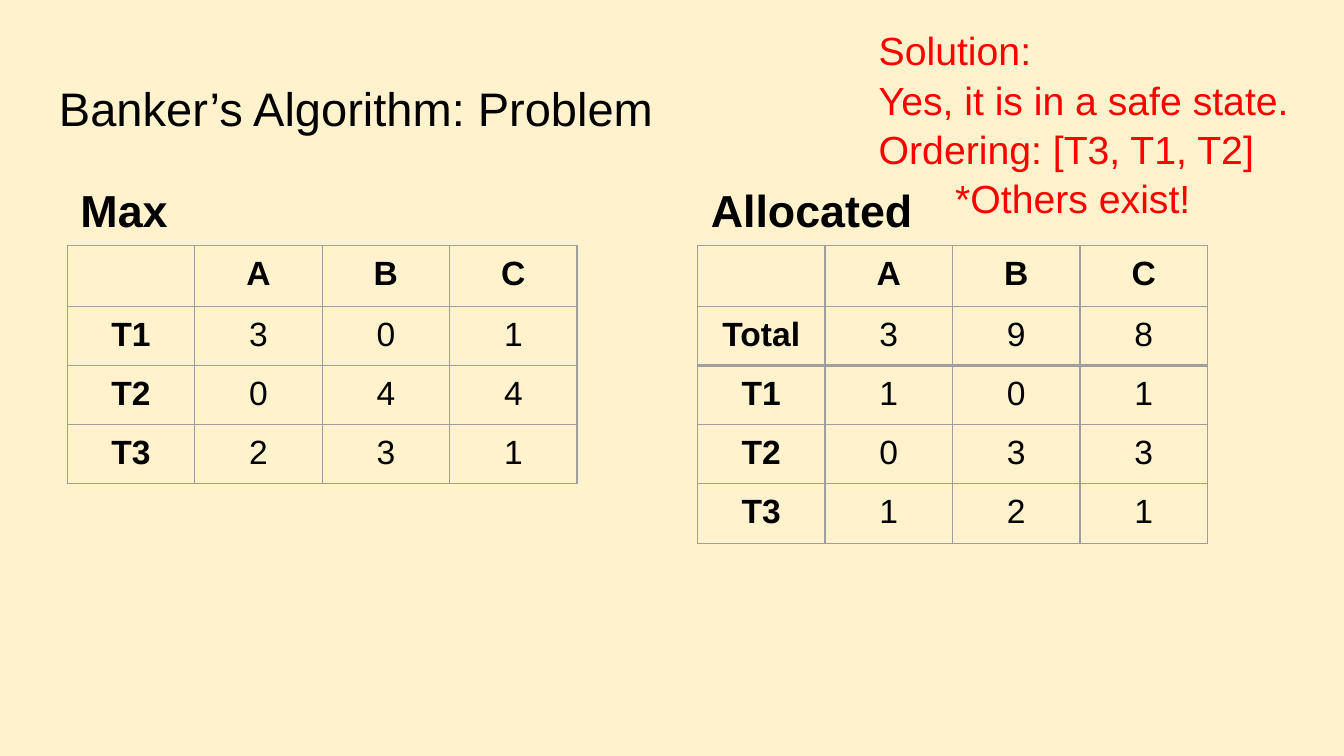
"""Build the Banker's Algorithm slide."""
from lxml import etree
from pptx import Presentation
from pptx.dml.color import RGBColor
from pptx.enum import text as tx
from pptx.oxml import ns
from pptx.util import Pt

CREAM = RGBColor(0xFF, 0xF2, 0xCC)
BLACK = RGBColor(0, 0, 0)
RED = RGBColor(0xFF, 0, 0)
GREY = RGBColor(0x9E, 0x9E, 0x9E)
COL = 68.3


def style(par, size, color=BLACK, bold=False):
    """Set the font of a paragraph."""
    font = par.font
    font.name, font.size, font.bold = "Arial", Pt(size), bold
    font.color.rgb = color


def text_box(slide, box, lines, size, color=BLACK, bold=False):
    """Add a wrapped text box and return its paragraphs."""
    frame = slide.shapes.add_textbox(*map(Pt, box)).text_frame
    frame.word_wrap = True
    frame.margin_left = frame.margin_right = Pt(7.2)
    frame.margin_top = frame.margin_bottom = Pt(7.2)
    frame.text = "\n".join(lines)
    for par in frame.paragraphs:
        style(par, size, color, bold)
    return frame.paragraphs


def border(cell, side, width):
    """Draw one edge of a cell."""
    props = cell._tc.get_or_add_tcPr()
    line = etree.SubElement(props, ns.qn("a:ln" + side), w=str(Pt(width)))
    fill = etree.SubElement(line, ns.qn("a:solidFill"))
    etree.SubElement(fill, ns.qn("a:srgbClr"), val=str(GREY))


def matrix(slide, box, title, rows, highs, thick=None):
    """Add a titled table, with a thick rule below row `thick`."""
    left, top, width, high = box
    text_box(slide, (left, top, width, 30), [title], 24, bold=True)
    cols = len(rows[0])
    grid = slide.shapes.add_table(
        len(rows), cols, Pt(left), Pt(top + 41), Pt(COL * cols), Pt(sum(highs))
    ).table
    grid.first_row = grid.horz_banding = False
    for col in grid.columns:
        col.width = Pt(COL)
    for r, (row, tall) in enumerate(zip(rows, highs)):
        grid.rows[r].height = Pt(tall)
        for c, value in enumerate(row):
            cell = grid.cell(r, c)
            cell.margin_left = cell.margin_right = Pt(7.2)
            cell.margin_top = cell.margin_bottom = Pt(5)
            cell.text = value
            par = cell.text_frame.paragraphs[0]
            par.alignment = tx.PP_ALIGN.CENTER
            style(par, 18, bold=r == 0 or c == 0)
            heavy = {"T": thick is not None and r == thick + 1, "B": r == thick}
            for side in "LRTB":
                border(cell, side, 1.5 if heavy.get(side) else 0.75)
            cell.fill.background()


def answer(slide, box):
    """Add the red solution, its last line indented."""
    lines = ["Solution:", "Yes, it is in a safe state.",
             "Ordering: [T3, T1, T2]", "*Others exist!"]
    pars = text_box(slide, box, lines, 21, RED)
    for par in pars:
        par.line_spacing = 1.05
    pars[-1]._p.get_or_add_pPr().set("marL", str(Pt(41)))


def main():
    """Build and save the slide."""
    deck = Presentation()
    deck.slide_width, deck.slide_height = Pt(720), Pt(405)
    slide = deck.slides.add_slide(deck.slide_layouts[6])
    back = slide.background.fill
    back.solid()
    back.fore_color.rgb = CREAM

    text_box(slide, (24.5, 35.3, 671, 45.4), ["Banker’s Algorithm: Problem"], 25.2)
    head = ["", "A", "B", "C"]
    need = [head, ["T1", "3", "0", "1"], ["T2", "0", "4", "4"],
            ["T3", "2", "3", "1"]]
    held = [head, ["Total", "3", "9", "8"], ["T1", "1", "0", "1"],
            ["T2", "0", "3", "3"], ["T3", "1", "2", "1"]]
    matrix(slide, (36, 90.7, 300, 236), "Max", need, [32.4] + [31.4] * 3)
    matrix(slide, (373.7, 90.7, 300, 236), "Allocated", held,
           [32.4, 31, 31, 31, 32.4], thick=1)
    answer(slide, (463.7, 5.8, 278.6, 104.4))
    deck.save("out.pptx")


if __name__ == "__main__":
    main()
